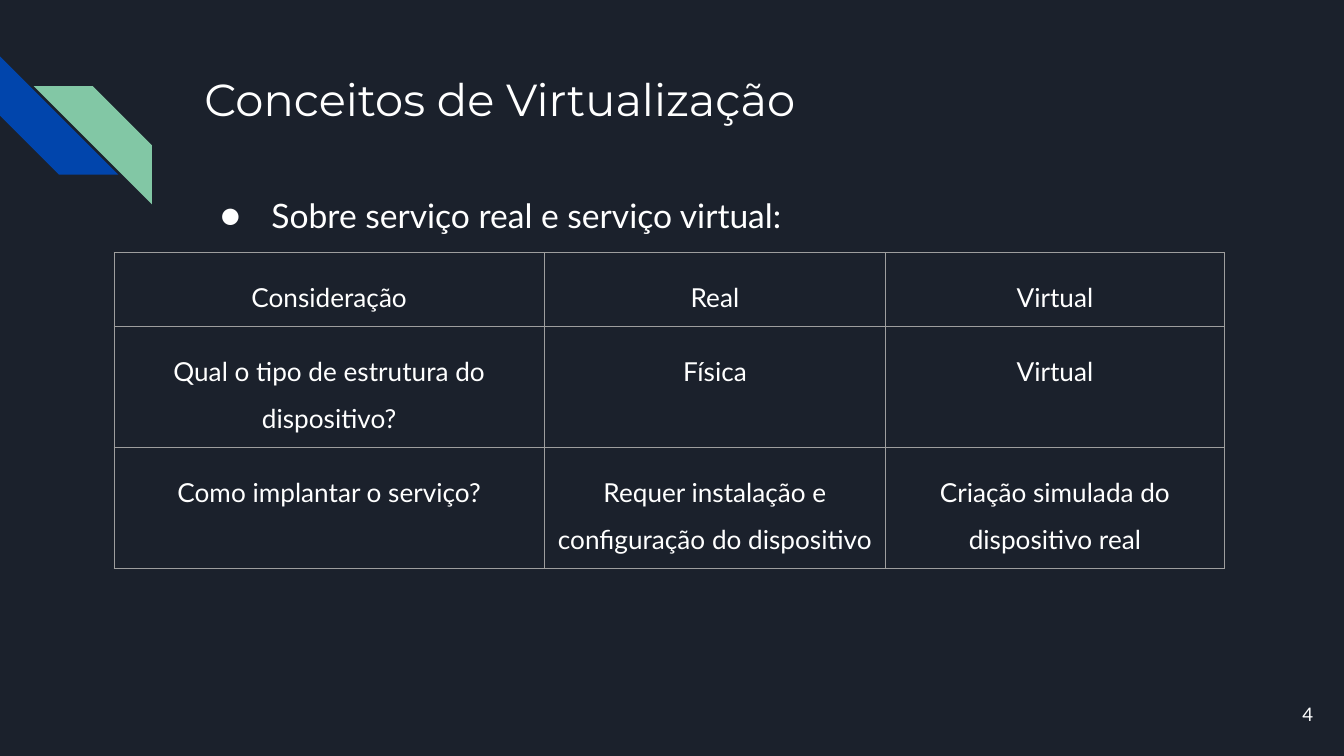
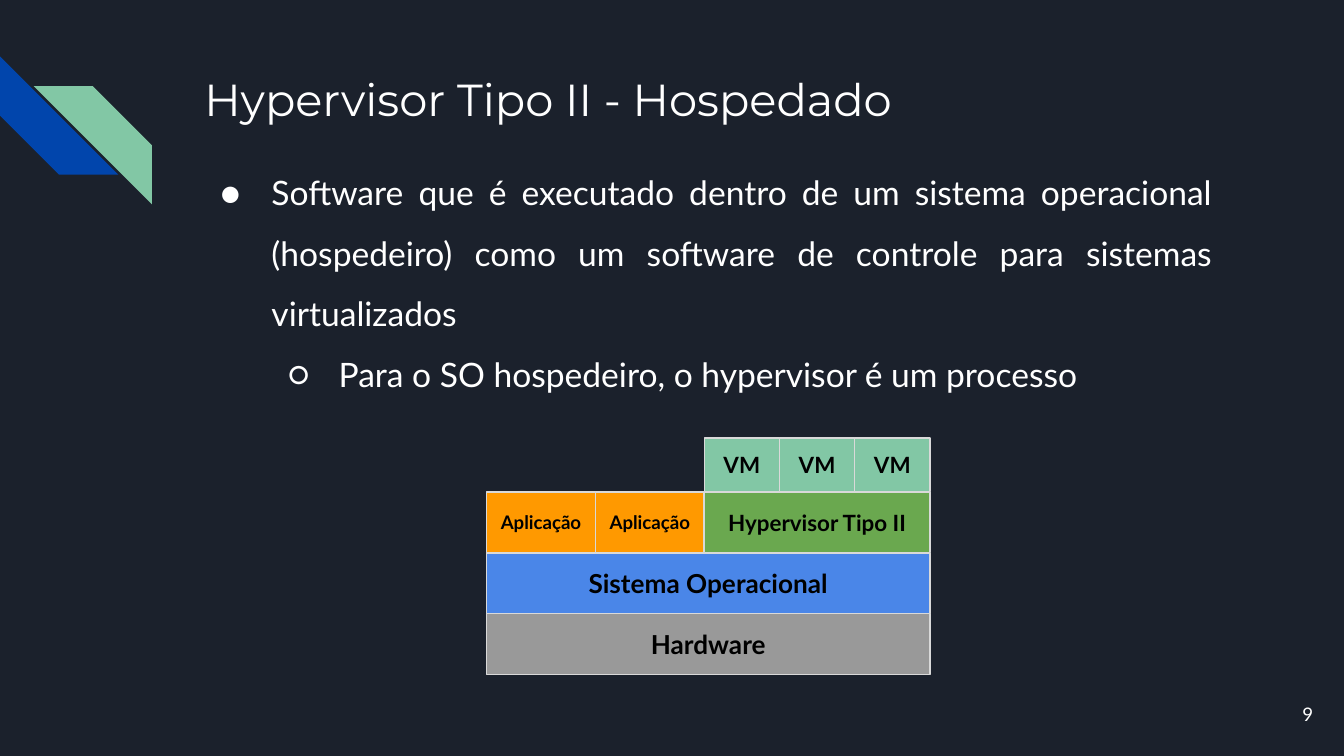
from dataclasses import dataclass

from lxml.etree import SubElement
from pptx import Presentation
from pptx.dml.color import RGBColor
from pptx.enum.shapes import MSO_SHAPE
from pptx.enum.text import MSO_ANCHOR as Anchor, MSO_AUTO_SIZE as AutoSize, PP_ALIGN as Align
from pptx.oxml.ns import qn
from pptx.util import Inches, Pt


@dataclass(frozen=True)
class Theme:
    background: str = "1B212C"
    text: str = "FFFFFF"
    block_text: str = "000000"
    blue_stripe: str = "0145AC"
    green: str = "82C7A5"
    table_border: str = "9E9E9E"
    block_border: str = "D9D9D9"
    hardware: str = "999999"
    system: str = "4A86E8"
    hypervisor: str = "6AA84F"
    application: str = "FF9900"
    title_font: str = "Montserrat"
    body_font: str = "Lato"
    title_size: int = 24
    body_size: int = 18
    table_size: int = 14
    layer_size: int = 14
    block_size: int = 12
    small_size: int = 10
    border_width: float = 0.75
    line_spacing: float = 1.5


THEME = Theme()
BULLETS = "●○"


def rgb(color):
    return RGBColor.from_string(color)


def place(shape, left, top, width, height):
    shape.left, shape.top = Inches(left), Inches(top)
    shape.width, shape.height = Inches(width), Inches(height)


def set_frame(text_frame, anchor=Anchor.TOP, wrap=True):
    text_frame.word_wrap = wrap
    text_frame.auto_size = AutoSize.NONE
    text_frame.vertical_anchor = anchor
    text_frame.margin_left = text_frame.margin_right = Inches(0.1)
    text_frame.margin_top = text_frame.margin_bottom = Inches(0.1)


def style_paragraph(paragraph, size, color=THEME.text, font=THEME.body_font,
                    bold=False, align=Align.LEFT):
    paragraph.alignment = align
    for run in paragraph.runs:
        run.font.name = font
        run.font.size = Pt(size)
        run.font.bold = bold
        run.font.color.rgb = rgb(color)


def add_bullet(paragraph, level):
    paragraph.level = level
    properties = paragraph._p.get_or_add_pPr()
    properties.set("marL", str(Inches(0.5 * (level + 1))))
    properties.set("indent", str(Inches(-0.38)))
    color = SubElement(properties, qn("a:buClr"))
    SubElement(color, qn("a:srgbClr"), val=THEME.text)
    SubElement(properties, qn("a:buFont"), typeface=THEME.body_font)
    SubElement(properties, qn("a:buChar"), char=BULLETS[level])


def add_filled_shape(slide, kind, box, fill):
    shape = slide.shapes.add_shape(kind, *map(Inches, box))
    shape.shadow.inherit = False
    shape.fill.solid()
    shape.fill.fore_color.rgb = rgb(fill)
    shape.line.fill.background()
    return shape


def add_corner_stripes(slide):
    stripe = MSO_SHAPE.DIAGONAL_STRIPE
    blue = add_filled_shape(slide, stripe, (0, 0.42, 0.88, 0.88), THEME.blue_stripe)
    blue.rotation = 270
    green = add_filled_shape(slide, stripe, (0.25, 0.64, 0.88, 0.88), THEME.green)
    green._element.spPr.xfrm.set("flipH", "1")


def add_page_number(slide, number):
    box = slide.shapes.add_textbox(*map(Inches, (9.27, 5.1, 0.6, 0.43)))
    set_frame(box.text_frame, Anchor.MIDDLE)
    box.text_frame.text = str(number)
    style_paragraph(box.text_frame.paragraphs[0], THEME.small_size, align=Align.RIGHT)


def add_content_slide(presentation, title, number):
    """Add a slide with the shared stripes, title and page number."""
    slide = presentation.slides.add_slide(presentation.slide_layouts[1])
    add_corner_stripes(slide)
    heading = slide.shapes.title
    place(heading, 1.42, 0.43, 7.7, 1)
    set_frame(heading.text_frame)
    heading.text_frame.text = title
    style_paragraph(heading.text_frame.paragraphs[0], THEME.title_size,
                    font=THEME.title_font)
    add_page_number(slide, number)
    return slide


def fill_body(slide, top, height, items, align=Align.LEFT):
    """Write (level, text) items as bullets in the body placeholder."""
    body = slide.placeholders[1]
    place(body, 1.42, top, 7.7, height)
    frame = body.text_frame
    set_frame(frame)
    frame.text = "\n".join(text for _, text in items)
    for paragraph, (level, _) in zip(frame.paragraphs, items):
        add_bullet(paragraph, level)
        paragraph.line_spacing = THEME.line_spacing
        paragraph.space_before = Pt(0)
        style_paragraph(paragraph, THEME.body_size, align=align)


def set_borders(cell):
    properties = cell._tc.get_or_add_tcPr()
    for side in ("lnL", "lnR", "lnT", "lnB"):
        line = SubElement(properties, qn(f"a:{side}"), w=str(Pt(THEME.border_width)))
        fill = SubElement(line, qn("a:solidFill"))
        SubElement(fill, qn("a:srgbClr"), val=THEME.table_border)


def add_text_table(slide, left, top, column_widths, row_heights, rows):
    size = (sum(column_widths), sum(row_heights))
    table = slide.shapes.add_table(len(rows), len(column_widths),
                                   *map(Inches, (left, top, *size))).table
    table.first_row = table.horz_banding = False
    for column, width in zip(table.columns, column_widths):
        column.width = Inches(width)
    for row, height, texts in zip(table.rows, row_heights, rows):
        row.height = Inches(height)
        for cell, text in zip(row.cells, texts):
            cell.text = text
            cell.margin_left = cell.margin_right = Inches(0.1)
            cell.margin_top = cell.margin_bottom = Inches(0.1)
            set_borders(cell)
            cell.fill.background()
            paragraph = cell.text_frame.paragraphs[0]
            paragraph.line_spacing = THEME.line_spacing
            style_paragraph(paragraph, THEME.table_size, align=Align.CENTER)


def add_block_row(slide, left, top, width, height, labels, fill, size):
    """Split a row of the stack into equal labelled blocks."""
    block_width = width / len(labels)
    for index, label in enumerate(labels):
        box = (left + index * block_width, top, block_width, height)
        block = add_filled_shape(slide, MSO_SHAPE.RECTANGLE, box, fill)
        block.line.color.rgb = rgb(THEME.block_border)
        block.line.width = Pt(THEME.border_width)
        set_frame(block.text_frame, Anchor.MIDDLE, wrap=False)
        block.text_frame.text = label
        style_paragraph(block.text_frame.paragraphs[0], size, THEME.block_text,
                        bold=True, align=Align.CENTER)


def add_hypervisor_stack(slide):
    left, top, bottom, width = 3.62, 3.66, 5.02, 3.3
    hypervisor_width, machine_height = 1.68, 0.4
    layer = (bottom - top) / 3
    applications_width = width - hypervisor_width
    hypervisor_left = left + applications_width
    add_block_row(slide, left, top + 2 * layer, width, layer,
                  ["Hardware"], THEME.hardware, THEME.layer_size)
    add_block_row(slide, left, top + layer, width, layer,
                  ["Sistema Operacional"], THEME.system, THEME.layer_size)
    add_block_row(slide, left, top, applications_width, layer,
                  ["Aplicação"] * 2, THEME.application, THEME.small_size)
    add_block_row(slide, hypervisor_left, top, hypervisor_width, layer,
                  ["Hypervisor Tipo II"], THEME.hypervisor, THEME.block_size)
    add_block_row(slide, hypervisor_left, top - machine_height, hypervisor_width,
                  machine_height, ["VM"] * 3, THEME.green, THEME.block_size)


def build_concepts_slide(presentation):
    slide = add_content_slide(presentation, "Conceitos de Virtualização", 4)
    fill_body(slide, 1.2, 0.6, [(0, "Sobre serviço real e serviço virtual:")])
    add_text_table(slide, 0.85, 1.88, (3.2, 2.54, 2.52), (0.47, 0.81, 0.77), [
        ("Consideração", "Real", "Virtual"),
        ("Qual o tipo de estrutura do dispositivo?", "Física", "Virtual"),
        ("Como implantar o serviço?",
         "Requer instalação e configuração do dispositivo",
         "Criação simulada do dispositivo real"),
    ])


def build_hypervisor_slide(presentation):
    slide = add_content_slide(presentation, "Hypervisor Tipo II - Hospedado", 9)
    fill_body(slide, 1.03, 1.32, [
        (0, "Software que é executado dentro de um sistema operacional (hospedeiro) "
            "como um software de controle para sistemas virtualizados"),
        (1, "Para o SO hospedeiro, o hypervisor é um processo"),
    ], Align.JUSTIFY)
    add_hypervisor_stack(slide)


def main():
    presentation = Presentation()
    presentation.slide_width = Inches(10)
    presentation.slide_height = Inches(10) * 9 // 16
    background = presentation.slide_master.background.fill
    background.solid()
    background.fore_color.rgb = rgb(THEME.background)
    build_concepts_slide(presentation)
    build_hypervisor_slide(presentation)
    presentation.save("out.pptx")


if __name__ == "__main__":
    main()
